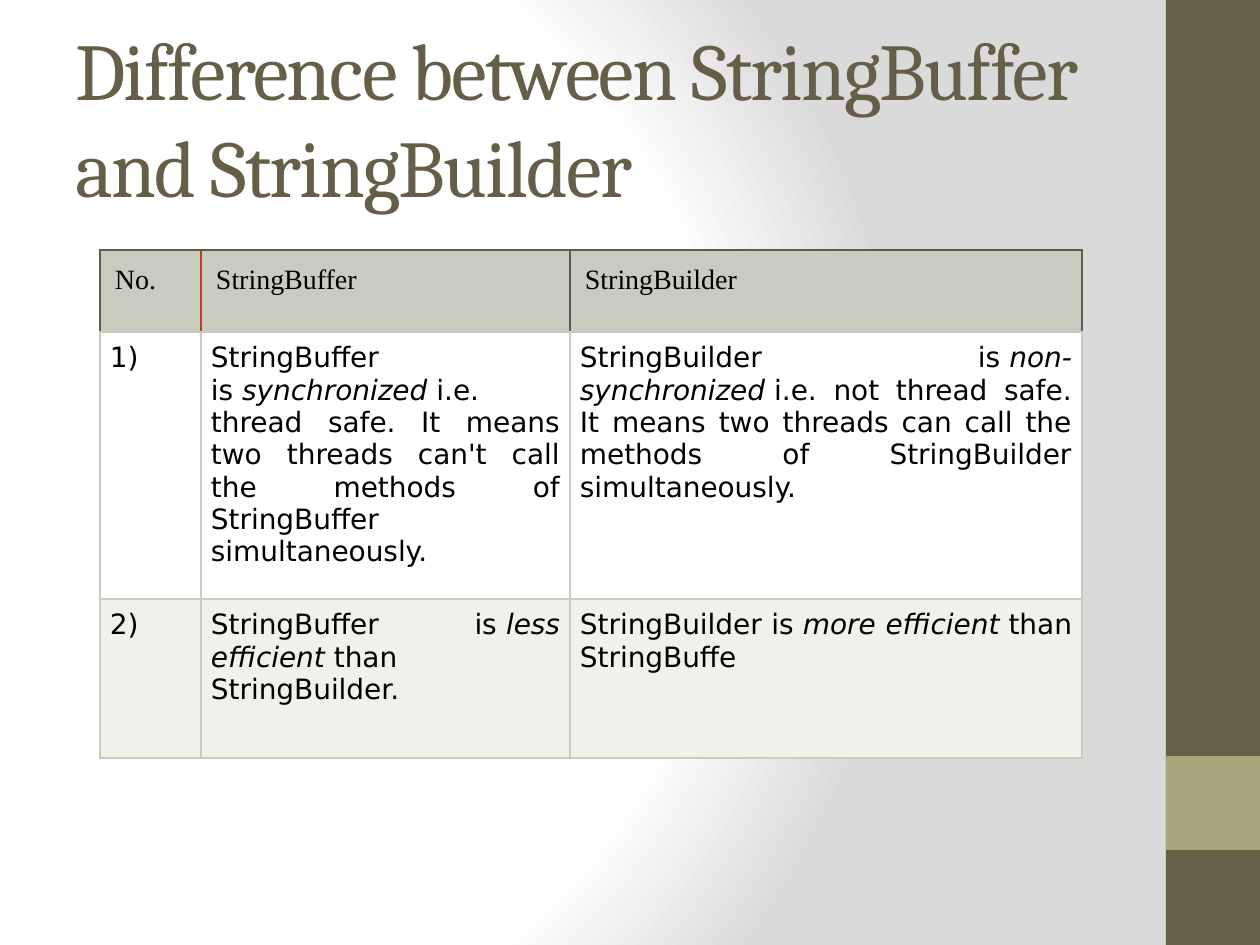
from lxml import etree
from pptx import Presentation
from pptx.dml.color import RGBColor
from pptx.enum import shapes, text
from pptx.oxml import parse_xml
from pptx.oxml.ns import qn
from pptx.util import Emu, Pt

PX = 914400 / 126
NBSP = chr(160)  # no-break space around the italic words
NS = 'xmlns:a="http://schemas.openxmlformats.org/drawingml/2006/main"'
THEME = {
    "brown": "675E47", "khaki": "A9A57C", "sage": "C7CCBE", "white": "FFFFFF",
    "pale": "EFF1EB", "grey": "DADADA", "red": "C03820", "dark": "5A5C55", "black": "000000",
    "title_font": "Cambria", "header_font": "Times New Roman", "body_font": "DejaVu Sans",
    "title_size": 46, "table_size": 16,
}


def px(*lengths):
    return [Emu(round(length * PX)) for length in lengths]


def add_run(paragraph, words, font, size, color, italic=False):
    run = paragraph.add_run()
    run.text = words
    run.font.name = THEME[font]
    run.font.size = Pt(THEME[size])
    run.font.color.rgb = RGBColor.from_string(THEME[color])
    run.font.italic = italic
    return run


deck = Presentation()
deck.slide_width, deck.slide_height = px(1260, 945)
slide = deck.slides.add_slide(deck.slide_layouts[6])

# Background: circular gradient centred at the left
backdrop = slide.background.fill
backdrop.gradient()
gradient = slide.background._cSld.find(".//" + qn("a:gradFill"))
stops = "".join(
    f'<a:gs pos="{position * 1000}"><a:srgbClr val="{THEME[color]}"/></a:gs>'
    for position, color in [(0, "white"), (75, "white"), (100, "grey")])
gradient.getparent().replace(gradient, parse_xml(
    f'<a:gradFill {NS} rotWithShape="1"><a:gsLst>{stops}</a:gsLst><a:path path="circle">'
    '<a:fillToRect l="20000" t="50000" r="100000" b="50000"/></a:path></a:gradFill>'))

# Side band with its accent block
for top, height, color in [(0, 945, "brown"), (756, 94, "khaki")]:
    band = slide.shapes.add_shape(shapes.MSO_SHAPE.RECTANGLE, *px(1166, top, 94, height))
    band.shadow.inherit = False
    band.fill.solid()
    band.fill.fore_color.rgb = RGBColor.from_string(THEME[color])
    band.line.fill.background()

# Title
title = slide.shapes.add_textbox(*px(63, 38, 1050, 157)).text_frame
title.word_wrap = True
title.vertical_anchor = text.MSO_ANCHOR.MIDDLE
heading = add_run(title.paragraphs[0], "Difference between StringBuffer and StringBuilder",
                  "title_font", "title_size", "brown")
heading.font._element.set("spc", "-100")

# Comparison table: each cell is a list of runs, every second run is italic
rows = [
    [["No."], ["StringBuffer"], ["StringBuilder"]],
    [["1)"],
     ["StringBuffer is" + NBSP, "synchronized",
      NBSP + "i.e. thread safe. It means two threads can't call the methods of "
      "StringBuffer simultaneously."],
     ["StringBuilder is" + NBSP, "non-synchronized",
      NBSP + "i.e. not thread safe. It means two threads can call the methods of "
      "StringBuilder simultaneously."]],
    [["2)"],
     ["StringBuffer is" + NBSP, "less efficient", NBSP + "than StringBuilder."],
     ["StringBuilder is" + NBSP, "more efficient", NBSP + "than StringBuffe"]],
]
row_fills = ["sage", "white", "pale"]
widths, heights = [101, 369, 512], [82, 267, 159]
comparison = slide.shapes.add_table(
    3, 3, *px(100, 250, sum(widths), sum(heights))).table
for column, width in zip(comparison.columns, px(*widths)):
    column.width = width
for row, height in zip(comparison.rows, px(*heights)):
    row.height = height

for r, row in enumerate(rows):
    is_header = r == 0
    for c, runs in enumerate(row):
        cell = comparison.cell(r, c)
        inset, = px(15 if is_header else 10)
        cell.margin_left = cell.margin_right = cell.margin_top = cell.margin_bottom = inset
        paragraph = cell.text_frame.paragraphs[0]
        if not is_header:
            paragraph.alignment = text.PP_ALIGN.JUSTIFY
        for i, words in enumerate(runs):
            add_run(paragraph, words, "header_font" if is_header else "body_font",
                    "table_size", "black", italic=i % 2 == 1)

        # Borders come before the fill in the cell properties
        edges = dict.fromkeys(["lnL", "lnR", "lnT", "lnB"], "sage")
        if is_header:
            edges.update(lnL="red" if c == 1 else "dark",
                         lnR="red" if c == 0 else "dark", lnT="dark")
        properties = cell._tc.get_or_add_tcPr()
        for edge, color in edges.items():
            line = etree.SubElement(properties, qn("a:" + edge), w=str(Pt(0.75)))
            solid = etree.SubElement(line, qn("a:solidFill"))
            etree.SubElement(solid, qn("a:srgbClr"), val=THEME[color])
        cell.fill.solid()
        cell.fill.fore_color.rgb = RGBColor.from_string(THEME[row_fills[r]])

deck.save("out.pptx")
